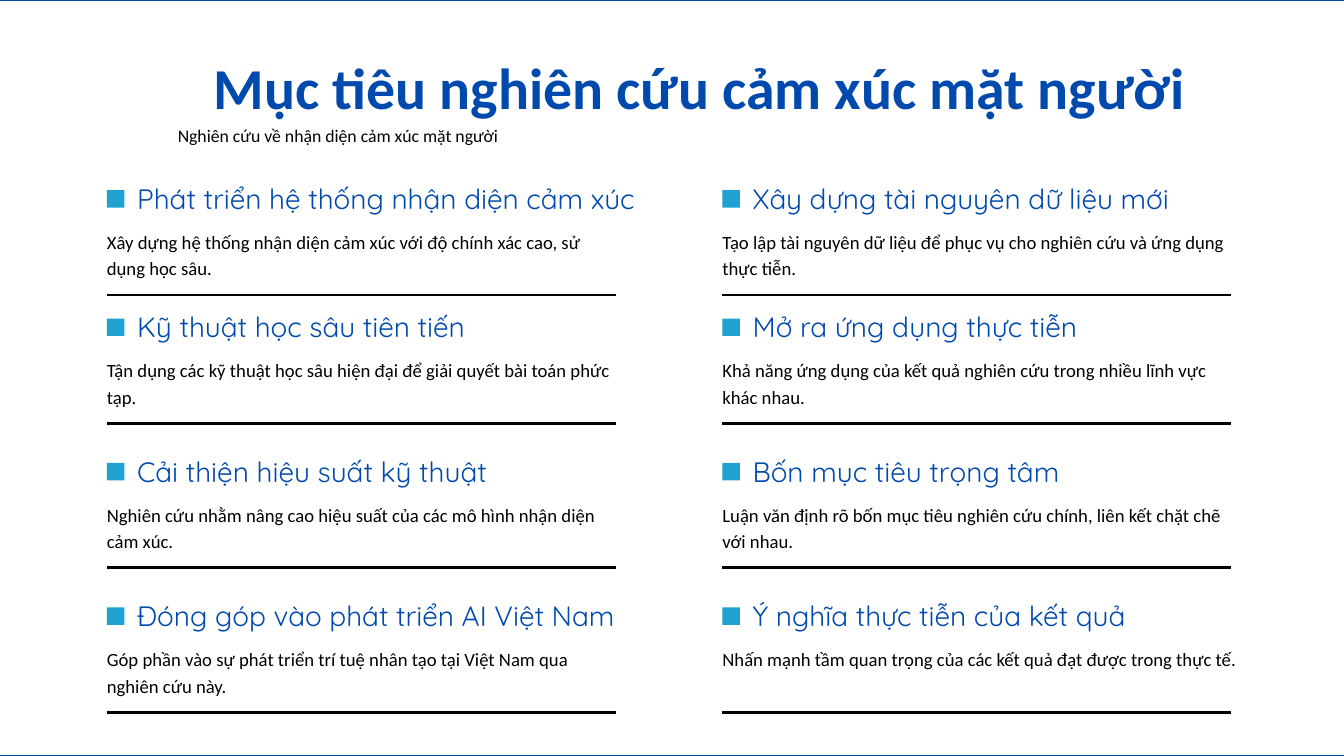
"""Build a slide listing eight research goals in a two-column grid."""
from lxml.etree import SubElement
from pptx import Presentation
from pptx.dml.color import RGBColor
from pptx.enum.shapes import MSO_CONNECTOR as Connector, MSO_SHAPE as Shape
from pptx.enum.text import MSO_ANCHOR as Anchor, MSO_AUTO_SIZE as AutoSize, PP_ALIGN as Align
from pptx.oxml.ns import qn
from pptx.util import Inches, Pt

TITLE = "Mục tiêu nghiên cứu cảm xúc mặt người"
SUBTITLE = "Nghiên cứu về nhận diện cảm xúc mặt người"
GOAL_COLUMNS = [
    [
        ("Phát triển hệ thống nhận diện cảm xúc",
         "Xây dựng hệ thống nhận diện cảm xúc với độ chính xác cao, sử dụng học sâu."),
        ("Kỹ thuật học sâu tiên tiến",
         "Tận dụng các kỹ thuật học sâu hiện đại để giải quyết bài toán phức tạp."),
        ("Cải thiện hiệu suất kỹ thuật",
         "Nghiên cứu nhằm nâng cao hiệu suất của các mô hình nhận diện cảm xúc."),
        ("Đóng góp vào phát triển AI Việt Nam",
         "Góp phần vào sự phát triển trí tuệ nhân tạo tại Việt Nam qua nghiên cứu này."),
    ],
    [
        ("Xây dựng tài nguyên dữ liệu mới",
         "Tạo lập tài nguyên dữ liệu để phục vụ cho nghiên cứu và ứng dụng thực tiễn."),
        ("Mở ra ứng dụng thực tiễn",
         "Khả năng ứng dụng của kết quả nghiên cứu trong nhiều lĩnh vực khác nhau."),
        ("Bốn mục tiêu trọng tâm",
         "Luận văn định rõ bốn mục tiêu nghiên cứu chính, liên kết chặt chẽ với nhau."),
        ("Ý nghĩa thực tiễn của kết quả",
         "Nhấn mạnh tầm quan trọng của các kết quả đạt được trong thực tế."),
    ],
]
WIDER = {
    GOAL_COLUMNS[0][0][0]: 7.48,
    GOAL_COLUMNS[0][3][0]: 7.29,
    GOAL_COLUMNS[1][3][1]: 7.98,
}

COLORS = {"blue": "004AAD", "marker": "20A2D1", "text": "000000"}
SLIDE_W, SLIDE_H = 20, 11.25
COLUMN_W, COLUMN_LEFT, COLUMN_STEP = 7.57, 1.59, 9.16
FIRST_ROW, SECOND_ROW, ROW_STEP = 2.77, 4.68, 2.15
ROW_TOPS = [FIRST_ROW] + [SECOND_ROW + ROW_STEP * step for step in range(3)]
MARKER, HEADING_INDENT = 0.26, 0.45
BODY_DROP, RULE_DROP = 0.61, 1.62
FRAME_X, FRAME_Y = 0.31, 0.29


def color(name):
    return RGBColor.from_string(COLORS[name])


def write(text, box, *, size, leading, font="Calibri", ink="text",
          bold=False, align=Align.LEFT, holder=None):
    left, top, width, height = map(Inches, box)
    holder = holder or slide.shapes.add_textbox(left, top, width, height)
    holder.left, holder.top, holder.width, holder.height = left, top, width, height
    frame = holder.text_frame
    frame.margin_left = frame.margin_right = frame.margin_top = frame.margin_bottom = 0
    frame.word_wrap, frame.auto_size = True, AutoSize.NONE
    frame.vertical_anchor = Anchor.TOP
    frame.text = text
    paragraph = frame.paragraphs[0]
    paragraph.alignment, paragraph.line_spacing = align, Pt(leading)
    style = paragraph.runs[0].font
    style.name, style.size, style.bold = font, Pt(size), bold
    style.color.rgb = color(ink)


def rectangle(left, top, width, height):
    box = slide.shapes.add_shape(Shape.RECTANGLE, *map(Inches, (left, top, width, height)))
    box.shadow.inherit = False
    return box


def add_goal(heading, body, left, top):
    marker = rectangle(left, top + 0.06, MARKER, MARKER)
    marker.fill.solid()
    marker.fill.fore_color.rgb = color("marker")
    marker.line.fill.background()
    heading_w = WIDER.get(heading, COLUMN_W - HEADING_INDENT)
    write(heading, (left + HEADING_INDENT, top, heading_w, 0.45),
          size=30, leading=30.9, font="Quicksand", ink="blue")
    write(body, (left, top + BODY_DROP, WIDER.get(body, COLUMN_W), 1.15), size=20, leading=28)
    rule_y = Inches(top + RULE_DROP)
    rule = slide.shapes.add_connector(
        Connector.STRAIGHT, Inches(left), rule_y, Inches(left + COLUMN_W), rule_y)
    rule.line.width = Pt(3)
    rule.line.color.rgb = color("text")
    SubElement(rule.element.spPr, qn("a:effectLst"))


deck = Presentation()
deck.slide_width, deck.slide_height = Inches(SLIDE_W), Inches(SLIDE_H)
slide = deck.slides.add_slide(deck.slide_layouts[5])

write(TITLE, (1.95, 0.92, 16.93, 0.93), size=62, leading=63.9, ink="blue",
      bold=True, align=Align.CENTER, holder=slide.shapes.title)
write(SUBTITLE, (2.26, 1.8, 5.54, 0.35), size=19, leading=26.6, align=Align.CENTER)

for column, goals in enumerate(GOAL_COLUMNS):
    for (heading, body), top in zip(goals, ROW_TOPS):
        add_goal(heading, body, COLUMN_LEFT + column * COLUMN_STEP, top)

border = rectangle(-FRAME_X, -FRAME_Y, SLIDE_W + 2 * FRAME_X, SLIDE_H + 2 * FRAME_Y)
border.fill.background()
border.line.width = Pt(43.5)
border.line.color.rgb = color("blue")

deck.save("out.pptx")
